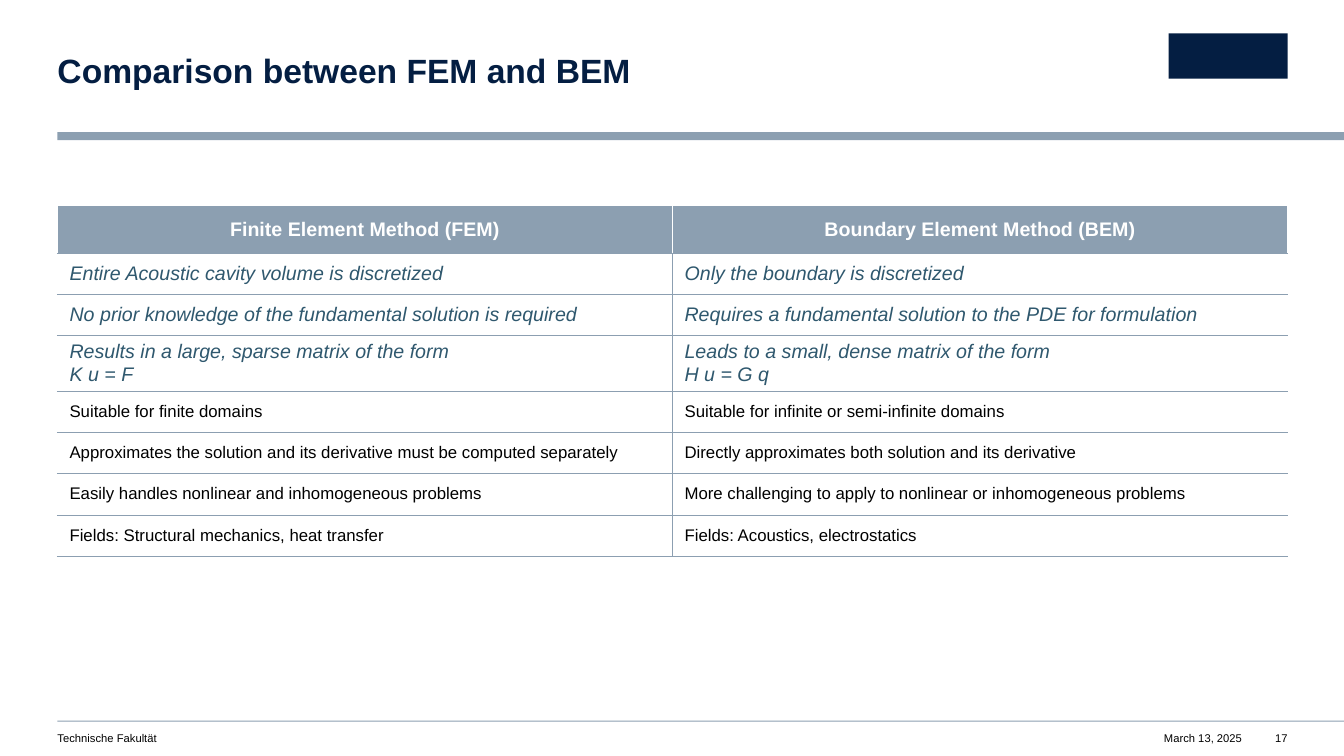
from lxml import etree
from pptx import Presentation
from pptx.dml.color import RGBColor
from pptx.enum.shapes import MSO_SHAPE
from pptx.enum.text import MSO_ANCHOR, PP_ALIGN
from pptx.oxml.ns import qn
from pptx.util import Inches, Pt

RECTANGLE = MSO_SHAPE.RECTANGLE
LEFT, CENTER, RIGHT = PP_ALIGN.LEFT, PP_ALIGN.CENTER, PP_ALIGN.RIGHT
MIDDLE = MSO_ANCHOR.MIDDLE

COLORS = {
    "navy": "041E42",
    "steel": "8C9FB1",
    "teal": "2F586E",
    "black": "000000",
    "white": "FFFFFF",
}
FONT = "Arial"

TITLE = "Comparison between FEM and BEM"
COMPARISON = [
    ("Finite Element Method (FEM)", "Boundary Element Method (BEM)"),
    ("Entire Acoustic cavity volume is discretized", "Only the boundary is discretized"),
    ("No prior knowledge of the fundamental solution is required",
     "Requires a fundamental solution to the PDE for formulation"),
    ("Results in a large, sparse matrix of the form\nK u = F",
     "Leads to a small, dense matrix of the form\nH u = G q"),
    ("Suitable for finite domains", "Suitable for infinite or semi-infinite domains"),
    ("Approximates the solution and its derivative must be computed separately",
     "Directly approximates both solution and its derivative"),
    ("Easily handles nonlinear and inhomogeneous problems",
     "More challenging to apply to nonlinear or inhomogeneous problems"),
    ("Fields: Structural mechanics, heat transfer", "Fields: Acoustics, electrostatics"),
]
EMPHASIZED_ROWS = (1, 2, 3)
HEADER_HEIGHT, ROW_HEIGHT, TWO_LINE_HEIGHT = 0.47, 0.41, 0.52

SLIDE_WIDTH, SLIDE_HEIGHT = 13.33, 7.5
MARGIN = 0.57
CONTENT_WIDTH = 12.2
TABLE_TOP = 2.04

# text, left, width, alignment
FOOTER = [
    ("Technische Fakultät", MARGIN, 5.98, LEFT),
    ("March 13, 2025", 11.39, 0.93, RIGHT),
    ("17", 12.56, 0.21, RIGHT),
]
# left, top, width, height, color
BARS = [
    (MARGIN, 1.31, SLIDE_WIDTH - MARGIN, 0.08, "steel"),
    (MARGIN, 7.15, SLIDE_WIDTH - MARGIN, 0.01, "steel"),
    (11.59, 0.33, 1.18, 0.45, "navy"),
]


def format_text(text_frame, size, color, alignment=LEFT, bold=False, italic=False):
    for paragraph in text_frame.paragraphs:
        paragraph.alignment = alignment
        for run in paragraph.runs:
            run.font.name = FONT
            run.font.size = Pt(size)
            run.font.bold = bold
            run.font.italic = italic
            run.font.color.rgb = RGBColor.from_string(COLORS[color])


def add_bar(slide, left, top, width, height, color):
    bar = slide.shapes.add_shape(
        RECTANGLE, Inches(left), Inches(top), Inches(width), Inches(height))
    bar.shadow.inherit = False
    bar.fill.solid()
    bar.fill.fore_color.rgb = RGBColor.from_string(COLORS[color])
    bar.line.fill.background()


def add_text(slide, text, left, top, width, height, size, color, alignment=LEFT, bold=False):
    box = slide.shapes.add_textbox(Inches(left), Inches(top), Inches(width), Inches(height))
    frame = box.text_frame
    frame.word_wrap = True
    frame.margin_left = frame.margin_right = frame.margin_top = frame.margin_bottom = 0
    frame.text = text
    format_text(frame, size, color, alignment, bold)
    return frame


def set_border(cell, side, color, width):
    """Draw one cell side: L, R, T or B, called in that order."""
    properties = cell._tc.get_or_add_tcPr()
    line = etree.SubElement(properties, qn(f"a:ln{side}"), w=str(Pt(width)))
    fill = etree.SubElement(line, qn("a:solidFill"))
    etree.SubElement(fill, qn("a:srgbClr"), val=COLORS[color])


def cell_borders(row, column):
    inner = ("white", 0.5) if row == 0 else ("steel", 0.25)
    outer = ("white", 1)
    rule = ("steel", 0.25)
    return {
        "L": outer if column == 0 else inner,
        "R": inner if column == 0 else outer,
        "T": outer if row == 0 else rule,
        "B": rule,
    }


def row_height(row):
    if row == 0:
        return HEADER_HEIGHT
    return TWO_LINE_HEIGHT if "\n" in COMPARISON[row][0] else ROW_HEIGHT


def format_cell(cell, row, column):
    cell.vertical_anchor = MIDDLE
    cell.margin_left = cell.margin_right = Inches(0.12)
    cell.margin_top = cell.margin_bottom = Inches(0.04)
    for side, (color, width) in cell_borders(row, column).items():
        set_border(cell, side, color, width)
    if row == 0:
        cell.fill.solid()
        cell.fill.fore_color.rgb = RGBColor.from_string(COLORS["steel"])
        format_text(cell.text_frame, 14, "white", CENTER, bold=True)
        return
    cell.fill.background()
    if row in EMPHASIZED_ROWS:
        format_text(cell.text_frame, 14, "teal", italic=True)
    else:
        format_text(cell.text_frame, 12, "black")


def add_comparison(slide):
    heights = [row_height(row) for row in range(len(COMPARISON))]
    columns = len(COMPARISON[0])
    table = slide.shapes.add_table(
        len(COMPARISON), columns, Inches(MARGIN), Inches(TABLE_TOP),
        Inches(CONTENT_WIDTH), Inches(sum(heights))).table
    table.first_row = False
    table.horz_banding = False
    for column in table.columns:
        column.width = Inches(CONTENT_WIDTH / columns)
    for row, texts in enumerate(COMPARISON):
        table.rows[row].height = Inches(heights[row])
        for column, text in enumerate(texts):
            cell = table.cell(row, column)
            cell.text_frame.text = text
            format_cell(cell, row, column)


def main():
    presentation = Presentation()
    presentation.slide_width = Inches(SLIDE_WIDTH)
    presentation.slide_height = Inches(SLIDE_HEIGHT)
    slide = presentation.slides.add_slide(presentation.slide_layouts[6])
    for bar in BARS:
        add_bar(slide, *bar)
    for text, left, width, alignment in FOOTER:
        add_text(slide, text, left, 7.26, width, 0.13, 8, "black", alignment)
    title = add_text(slide, TITLE, MARGIN, 0.54, 7.49, 0.36, 24, "navy", bold=True)
    title.paragraphs[0].line_spacing = 0.9
    add_comparison(slide)
    presentation.save("out.pptx")


if __name__ == "__main__":
    main()
